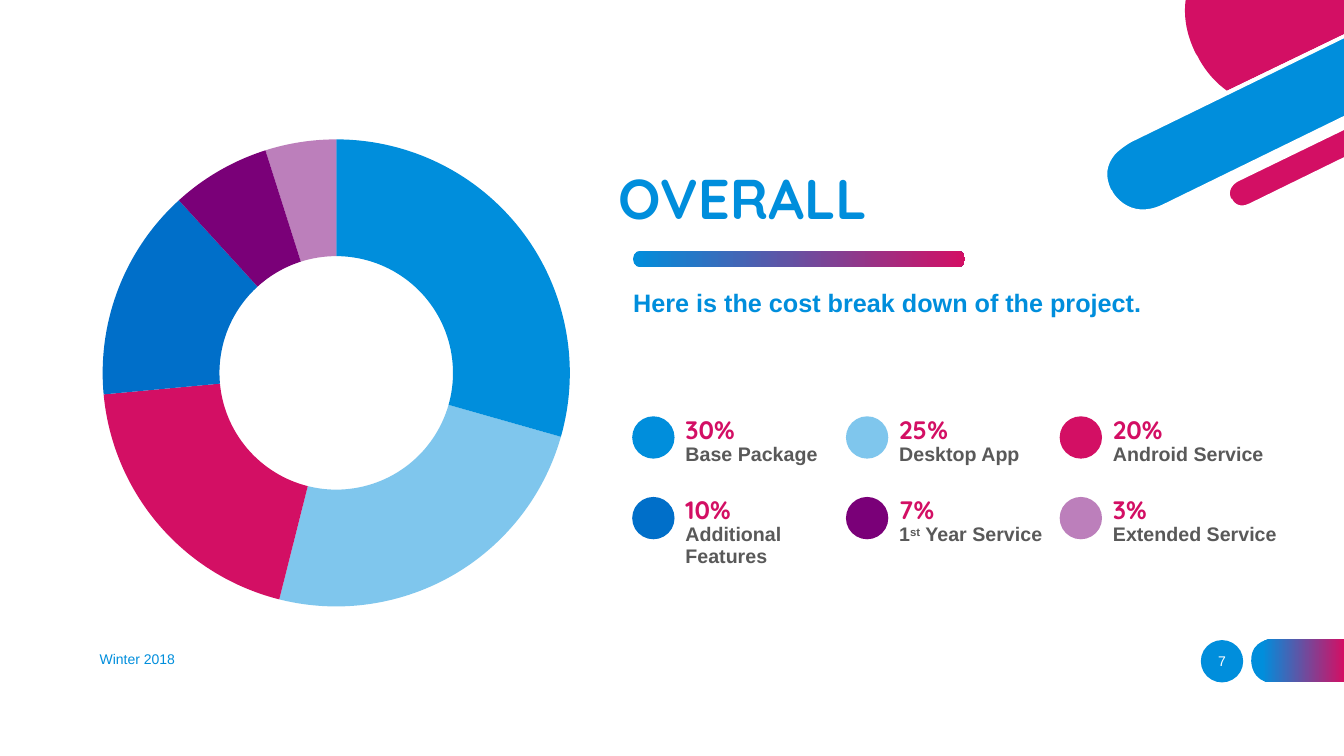
from lxml.etree import SubElement
from pptx import Presentation
from pptx.chart.data import CategoryChartData
from pptx.dml.color import RGBColor
from pptx.enum.chart import XL_CHART_TYPE
from pptx.enum.shapes import MSO_SHAPE
from pptx.enum.text import MSO_ANCHOR, MSO_AUTO_SIZE, PP_ALIGN
from pptx.oxml import parse_xml
from pptx.oxml.ns import nsdecls, qn
from pptx.util import Inches, Pt

BLUE = RGBColor(0x00, 0x8E, 0xDC)
PINK = RGBColor(0xD3, 0x0F, 0x64)
NAVY = RGBColor(0x00, 0x6F, 0xC9)
PURPLE = RGBColor(0x7A, 0x00, 0x78)
GREY = RGBColor(0x59, 0x59, 0x59)
WHITE = RGBColor(0xFF, 0xFF, 0xFF)
BLACK = RGBColor(0x00, 0x00, 0x00)

# Corner outlines: a start point, then lines (2 numbers) or Bézier curves (6)
CORNER = [
    (WHITE, [(13.33, 0.81), (13.06, 0.94), (12.74, 1.1, 12.44, 1.08, 12.19, 0.89),
             (11.99, 0.74, 11.89, 0.55, 11.89, 0.55), (11.88, 0.52),
             (11.79, 0.34, 11.75, 0.16, 11.78, 0), (11.74, 0),
             (11.71, 0.17, 11.75, 0.35, 11.84, 0.54), (11.86, 0.57),
             (11.86, 0.58, 11.96, 0.77, 12.16, 0.92),
             (12.28, 1.01, 12.44, 1.09, 12.65, 1.09),
             (12.77, 1.09, 12.91, 1.06, 13.08, 0.98), (13.33, 0.86)]),
    (BLUE, [(11.21, 1.39), (11.21, 1.39, 10.85, 1.57, 11.01, 1.89), (11.01, 1.9),
            (11.01, 1.9, 11.17, 2.22, 11.54, 2.04), (13.33, 1.17), (13.33, 0.36)]),
    (PINK, [(11.88, 0.56), (11.88, 0.56, 11.97, 0.76, 12.17, 0.9), (13.33, 0.34),
            (13.33, 0), (11.76, 0), (11.74, 0.15, 11.76, 0.33, 11.86, 0.53)]),
    (PINK, [(13.33, 1.26), (12.27, 1.78), (12.27, 1.78, 12.13, 1.85, 12.2, 1.97),
            (12.2, 1.98), (12.2, 1.98, 12.26, 2.11, 12.4, 2.04), (13.33, 1.58)]),
    (WHITE, [(12.39, 2.02), (12.27, 2.08, 12.22, 1.98, 12.22, 1.97), (12.21, 1.97),
             (12.16, 1.86, 12.28, 1.8, 12.28, 1.8), (13.33, 1.29), (13.33, 1.24),
             (12.26, 1.76), (12.26, 1.76, 12.19, 1.8, 12.17, 1.87),
             (12.15, 1.91, 12.16, 1.95, 12.18, 1.99),
             (12.2, 2.03, 12.25, 2.08, 12.32, 2.08),
             (12.35, 2.08, 12.38, 2.08, 12.41, 2.06), (13.33, 1.61), (13.33, 1.56)]),
    (WHITE, [(11.53, 2.03), (11.19, 2.19, 11.03, 1.9, 11.03, 1.89), (11.02, 1.88),
             (10.96, 1.75, 10.97, 1.64, 11.06, 1.53),
             (11.13, 1.46, 11.22, 1.41, 11.22, 1.41), (13.33, 0.38), (13.33, 0.34),
             (11.2, 1.37), (11.19, 1.38, 11.02, 1.46, 10.96, 1.63),
             (10.93, 1.71, 10.94, 1.8, 10.99, 1.9), (10.99, 1.91),
             (10.99, 1.91, 11.1, 2.12, 11.33, 2.12),
             (11.39, 2.12, 11.46, 2.1, 11.54, 2.06), (13.33, 1.19), (13.33, 1.15)]),
]
NUMBER_TAB = [(12.62, 6.77), (13.33, 6.77), (13.33, 6.34), (12.62, 6.34),
              (12.62, 6.34, 12.41, 6.34, 12.41, 6.55), (12.41, 6.56),
              (12.41, 6.56, 12.41, 6.77, 12.62, 6.77)]

# Share shown, label runs, chart value, colour, half transparent
COSTS = [
    ("30%", ["Base Package"], 30, BLUE, False),
    ("25%", ["Desktop App"], 25, BLUE, True),
    ("20%", ["Android Service"], 20, PINK, False),
    ("10%", ["Additional Features"], 15, NAVY, False),
    ("7%", ["1", "st", " Year Service"], 7, PURPLE, False),
    ("3%", ["Extended Service"], 5, PURPLE, True),
]


def fade(element):
    for color in element.iter(qn("a:srgbClr")):
        SubElement(color, qn("a:alpha"), val="50000")


class SlideBuilder:
    body_font = "Arial"
    head_font = "Quicksand"

    def __init__(self, slide):
        self.slide = slide
        self.shapes = slide.shapes

    def paint(self, sp, color=None, start=0):
        """Fill with a colour, or with the blue to pink gradient."""
        sp.shadow.inherit = False
        sp.line.fill.background()
        if color is not None:
            sp.fill.solid()
            sp.fill.fore_color.rgb = color
            return
        sp.fill.gradient()
        sp.fill.gradient_angle = 0
        for stop, rgb, pos in zip(sp.fill.gradient_stops, (BLUE, PINK), (start, 1)):
            stop.color.rgb = rgb
            stop.position = pos

    def shape(self, kind, box, color=None, faded=False):
        sp = self.shapes.add_shape(kind, *map(Inches, box))
        self.paint(sp, color)
        if faded:
            fade(sp._element.spPr)
        return sp

    def outline(self, segments, color=None, start=0):
        ends = [(Inches(seg[-2]), Inches(seg[-1])) for seg in segments]
        builder = self.shapes.build_freeform(*ends[0])
        builder.add_line_segments(ends[1:], close=True)
        sp = builder.convert_to_shape()
        # Bend the six-number segments into Bézier curves
        lines = list(sp._element.iter(qn("a:lnTo")))
        for line, seg in zip(lines, segments[1:]):
            if len(seg) == 6:
                line.tag = qn("a:cubicBezTo")
                for i in (0, 2):
                    pt = line.makeelement(qn("a:pt"), x=str(Inches(seg[i]) - sp.left),
                                          y=str(Inches(seg[i + 1]) - sp.top))
                    line.insert(i // 2, pt)
        self.paint(sp, color, start)

    def text(self, box, runs, size, color, sp=None, font=body_font, bold=True,
             anchor=MSO_ANCHOR.TOP, align=PP_ALIGN.LEFT, spacing=0.9):
        if sp is None:
            sp = self.shapes.add_textbox(0, 0, 0, 0)
        sp.left, sp.top, sp.width, sp.height = map(Inches, box)
        tf = sp.text_frame
        tf.word_wrap = True
        tf.auto_size = MSO_AUTO_SIZE.NONE
        tf.vertical_anchor = anchor
        p = tf.paragraphs[0]
        pPr = p._p.get_or_add_pPr()
        pPr.set("marL", "0")
        pPr.set("indent", "0")
        SubElement(pPr, qn("a:buNone"))
        p.alignment, p.line_spacing, p.space_before = align, spacing, Pt(0)
        for i, words in enumerate(runs):
            r = p.add_run()
            r.text = words
            r.font.name, r.font.size, r.font.bold = font, Pt(size), bold
            r.font.color.rgb = color
            if i == 1:  # the ordinal ending is raised
                r.font._element.set("baseline", "30000")

    def doughnut(self, box, costs):
        data = CategoryChartData()
        data.categories = [str(i + 1) for i in range(len(costs))]
        data.add_series("Series 1", [cost[2] for cost in costs])
        chart = self.shapes.add_chart(XL_CHART_TYPE.DOUGHNUT, *map(Inches, box), data).chart
        chart.has_legend = chart.has_title = False
        chart.font.name, chart.font.size = self.body_font, Pt(10)
        chart.font.color.rgb = BLACK
        plot = chart.plots[0]
        plot.vary_by_categories = True
        series = plot.series[0]
        for i, (_, _, _, color, faded) in enumerate(costs):
            fmt = series.points[i].format
            fmt.fill.solid()
            fmt.fill.fore_color.rgb = color
            fmt.line.fill.background()
            if faded:
                fade(series._element.findall(qn("c:dPt"))[i])
        # Hole size and plot area
        area = chart._chartSpace.find(".//" + qn("c:plotArea"))
        area.find(".//" + qn("c:holeSize")).set("val", "52")
        for old in area.findall(qn("c:layout")):
            area.remove(old)
        area.insert(0, parse_xml(
            f'<c:layout {nsdecls("c")}><c:manualLayout><c:layoutTarget val="inner"/>'
            '<c:xMode val="edge"/><c:yMode val="edge"/><c:x val="0.03"/><c:y val="0.03"/>'
            '<c:w val="0.94"/><c:h val="0.94"/></c:manualLayout></c:layout>'))


def main():
    prs = Presentation()
    prs.slide_width, prs.slide_height = Inches(13.33), Inches(7.5)
    s = prs.slides.add_slide(prs.slide_layouts[1])
    b = SlideBuilder(s)

    # Decoration
    b.shape(MSO_SHAPE.OVAL, (11.91, 6.35, 0.42, 0.42), BLUE)
    b.outline(NUMBER_TAB, start=0.12)
    for color, segments in CORNER:
        b.outline(segments, color)
    b.shape(MSO_SHAPE.ROUNDED_RECTANGLE, (6.28, 2.49, 3.29, 0.16)).adjustments[0] = 0.45

    # Title and lead line
    b.text((6.03, 1.61, 4.95, 0.74), ["OVERALL"], 40, BLUE, s.shapes.title,
           b.head_font, anchor=MSO_ANCHOR.BOTTOM)
    b.text((6.18, 2.83, 6.16, 0.91), ["Here is the cost break down of the project."],
           18, BLUE, s.placeholders[1])

    # Chart and its key
    b.doughnut((0.87, 1.19, 4.93, 5.02), COSTS)
    for i, (share, label, _, color, faded) in enumerate(COSTS):
        row, col = divmod(i, 3)
        x, y = 6.27 + 2.12 * col, 4.13 + 0.8 * row
        b.shape(MSO_SHAPE.OVAL, (x, y, 0.42, 0.42), color, faded)
        b.text((x + 0.43, y - 0.07, 1.75, 0.4), [share], 18, PINK,
               font=b.head_font, anchor=MSO_ANCHOR.BOTTOM)
        b.text((x + 0.43, y + 0.23, 1.87, 0.4), label, 14, GREY)

    # Footer
    footer = dict(bold=False, anchor=MSO_ANCHOR.MIDDLE, spacing=1.0)
    b.text((0.89, 6.34, 4.5, 0.4), ["Winter 2018"], 10, BLUE, **footer)
    b.text((11.82, 6.36, 0.6, 0.4), ["7"], 10, WHITE, align=PP_ALIGN.CENTER, **footer)

    prs.save("out.pptx")


if __name__ == "__main__":
    main()
